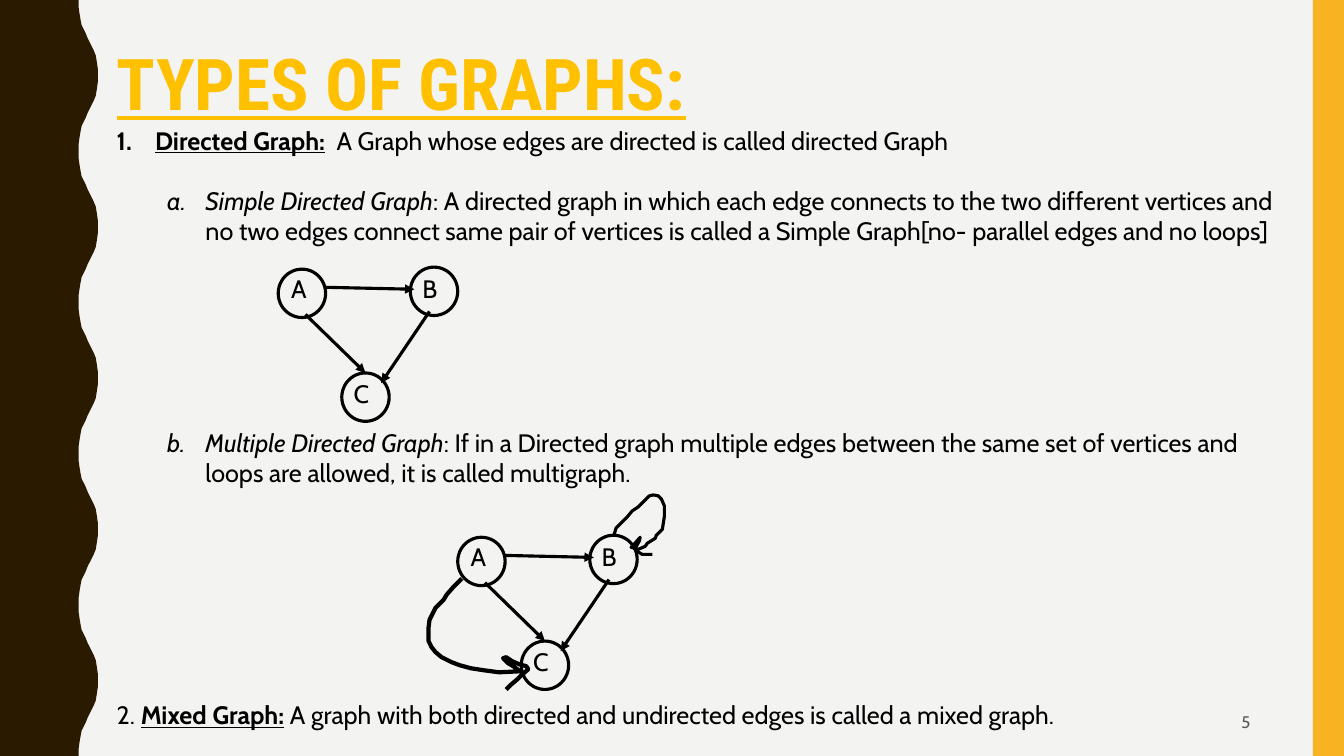
"""Build a slide that explains directed, multiple directed and mixed graphs."""
import pptx
import pptx.util
import pptx.dml.color
import pptx.enum.shapes
import pptx.enum.text
import pptx.oxml
import pptx.oxml.ns
import lxml.etree

deck = pptx.Presentation()
deck.slide_width = pptx.util.Inches(13.33)
deck.slide_height = pptx.util.Inches(7.5)
cols, rows = 1333, 750
cell = deck.slide_height // rows
slide = deck.slides.add_slide(deck.slide_layouts[6])
shapes = slide.shapes
kind = pptx.enum.shapes.MSO_SHAPE
align = pptx.enum.text.PP_ALIGN
anchor = pptx.enum.text.MSO_ANCHOR
qn = pptx.oxml.ns.qn


def paint(format, color):
    format.solid()
    format.fore_color.rgb = pptx.dml.color.RGBColor.from_string(color)


def write(words, at=None, para=None, size=18, font="Cabin", color="000000",
          bold=False, italic=False, under=False, side=align.LEFT, hold=anchor.TOP):
    if para is None:
        frame = shapes.add_textbox(*[n * cell for n in at]).text_frame
        frame.word_wrap = True
        frame.vertical_anchor = hold
        para = frame.paragraphs[0]
        para.alignment = side
    run = para.add_run()
    run.text = words
    run.font.size = pptx.util.Pt(size)
    run.font.name = font
    run.font.bold = bold
    run.font.italic = italic
    run.font.underline = under
    paint(run.font.fill, color)
    return para


paint(slide.background.fill, "F3F3F2")

half = [(78, 0), (78, 7), (79, 14), (80, 20), (81, 25), (83, 29), (85, 33), (87, 38),
        (89, 42), (91, 46), (93, 50), (95, 55), (96, 61), (97, 68), (97, 75)]
wave = half + [(x, 150 - y) for x, y in half[-2::-1]]
edge = [(x, y + 150 * turn) for turn in range(5) for x, y in wave]
pen = shapes.build_freeform(0, 0, cell)
pen.add_line_segments(edge + [(0, rows)], close=True)
band = pen.convert_to_shape()
bar = shapes.add_shape(kind.RECTANGLE, 1302 * cell, 0, 31 * cell, rows * cell)
for shape, color in ((band, "2A1A00"), (bar, "F8B323")):
    paint(shape.fill, color)
    shape.line.fill.background()
    shape.shadow.inherit = False

title = write("TYPES OF GRAPHS:", at=(106, 44, 933, 98), size=51, color="FFC000",
              font="Roboto Condensed", bold=True, under=True)
title.line_spacing = 0.9
write("5", at=(942, 697, 308, 38), size=12, color="595959", side=align.RIGHT,
      hold=anchor.MIDDLE)

head = {"bold": True, "under": True}
lean = {"italic": True}
body = [
    (0, 0, 38, "arabicPeriod", [
        ("Directed Graph:", head),
        ("  A Graph whose edges are directed is called directed Graph", {})]),
    (1, 1, 88, "alphaLcPeriod", [
        ("Simple Directed Graph", lean),
        (": A directed graph in which each edge connects to the two different vertices "
         "and no two edges connect same pair of vertices is called a Simple "
         "Graph[no- parallel edges and no loops]", {})]),
    (6, 1, 88, "alphaLcPeriod", [
        ("Multiple Directed Graph", lean),
        (": If in a Directed graph multiple edges between the same set of vertices "
         "and loops are allowed, it is called multigraph.", {})]),
    (7, 0, 0, None, [
        ("2. ", {}), ("Mixed Graph:", head),
        (" A graph with both directed and undirected edges is called a mixed graph.", {})]),
]
frame = shapes.add_textbox(106 * cell, 119 * cell, 1184 * cell, 620 * cell).text_frame
frame.word_wrap = True
for spot, (gap, level, dent, mark, runs) in enumerate(body):
    para = frame.add_paragraph() if spot else frame.paragraphs[0]
    para.level = level
    para.space_before = pptx.util.Pt(21.6 * gap)
    for words, style in runs:
        write(words, para=para, **style)
    if mark:
        props = para._p.get_or_add_pPr()
        props.set("marL", str(dent * cell))
        props.set("indent", str(-38 * cell))
        lxml.etree.SubElement(props, qn("a:buFont"), typeface="+mj-lt")
        lxml.etree.SubElement(props, qn("a:buAutoNum"), type=mark)

nodes = {"A": (276, 267, 3, -1), "B": (407, 265, 2, 1), "C": (339, 370, 2, 0)}
edges = [("A", "B", 322, 285, 411, 287), ("A", "C", 303, 312, 363, 370),
         ("B", "C", 426, 309, 378, 380)]
for right, down in ((0, 0), (178, 266)):
    rings = {}
    for name, (x, y, dx, dy) in nodes.items():
        x, y = x + right, y + down
        ring = shapes.add_shape(kind.OVAL, x * cell, y * cell, 47 * cell, 48 * cell)
        ring.fill.background()
        ring.shadow.inherit = False
        paint(ring.line.fill, "000000")
        ring.line.width = pptx.util.Pt(2.25)
        rings[name] = ring
        write(name, at=(x + dx, y + dy, 43, 40))
    for start, end, x1, y1, x2, y2 in edges:
        link = shapes.add_connector(
            pptx.enum.shapes.MSO_CONNECTOR.STRAIGHT, (x1 + right) * cell,
            (y1 + down) * cell, (x2 + right) * cell, (y2 + down) * cell)
        if (start, end) == ("A", "C"):
            link.end_connect(rings[end], 0)
        paint(link.line.fill, "000000")
        link.line.width = pptx.util.Pt(2.25)
        lxml.etree.SubElement(link.line._get_or_add_ln(), qn("a:tailEnd"), type="triangle")
        lxml.etree.SubElement(link._element.spPr, qn("a:effectLst"))

bend = [(458, 574), (450, 582), (443, 590), (440, 595), (432, 603), (426, 615),
        (425, 623), (425, 636), (428, 642), (432, 647), (438, 652), (448, 657),
        (456, 660), (467, 663), (480, 665), (495, 667), (516, 666), (509, 661),
        (504, 658), (499, 653), (502, 652), (508, 656), (515, 659), (522, 661),
        (524, 664), (518, 669), (513, 674), (506, 680), (502, 684)]
loop = [(609, 531), (611, 524), (622, 513), (627, 507), (633, 503), (639, 497),
        (644, 492), (648, 491), (653, 492), (656, 495), (659, 502), (659, 512),
        (657, 525), (651, 531), (650, 534), (642, 539), (640, 542), (633, 545),
        (626, 543), (628, 541), (635, 533), (634, 537), (630, 544), (632, 547),
        (637, 550), (647, 550)]
for trail, width in ((bend, 3), (loop, 2.25)):
    pen = shapes.build_freeform(*trail[0], cell)
    pen.add_line_segments(trail[1:], close=False)
    curve = pen.convert_to_shape()
    curve.fill.background()
    curve.shadow.inherit = False
    paint(curve.line.fill, "000000")
    curve.line.width = pptx.util.Pt(width)

deck.save("out.pptx")
